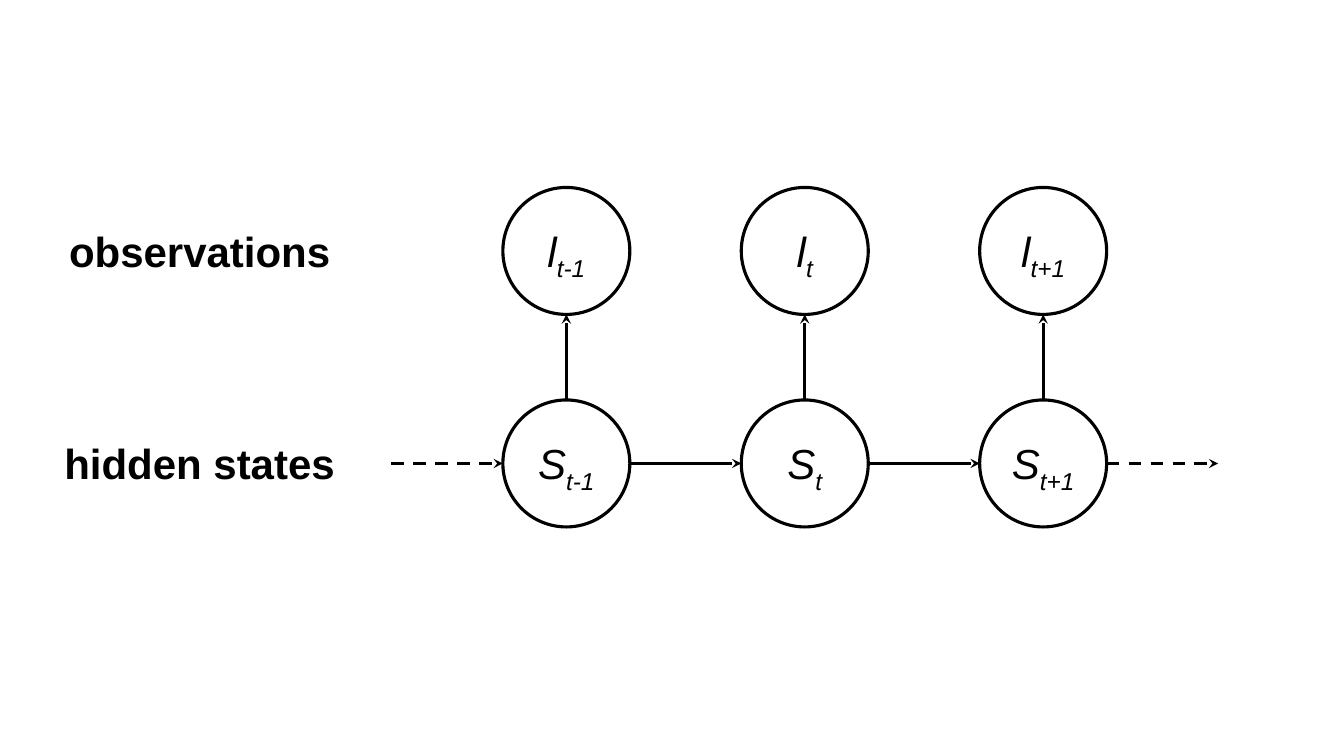
from lxml import etree
from pptx import Presentation
from pptx import util as u
from pptx.dml.color import RGBColor
from pptx.enum import dml, shapes, text
from pptx.oxml.ns import qn

BLACK = RGBColor(0, 0, 0)
SIZE = 90.7
LEFT, STEP = 359.2, 170.3
ROWS = {"l": 133.9, "S": 285.7}
TIMES = ["t-1", "t", "t+1"]
DROP, HIGH = 23.5, 44
MID = SIZE / 2


class Graph:
    """Draws the nodes, arrows and labels of a state model on one slide."""

    def __init__(self, slide):
        self.slide = slide
        self.font = "Arial"
        self.size = u.Pt(30)
        self.width = u.Pt(2.25)

    def stroke(self, shape):
        shape.line.color.rgb = BLACK
        shape.line.width = self.width

    def label(self, home, words, left, top, wide, sub="", bold=None, slant=None):
        box = home.add_textbox(u.Pt(left), u.Pt(top), u.Pt(wide), u.Pt(HIGH))
        frame = box.text_frame
        frame.word_wrap = True
        frame.auto_size = text.MSO_AUTO_SIZE.SHAPE_TO_FIT_TEXT
        frame.text = words
        para = frame.paragraphs[0]
        para.alignment = text.PP_ALIGN.CENTER
        if sub:
            run = para.add_run()
            run.text = sub
            run._r.get_or_add_rPr().set("baseline", "-25000")
        for run in para.runs:
            font = run.font
            font.name, font.size = self.font, self.size
            font.bold, font.italic = bold, slant
            font.color.rgb = BLACK

    def node(self, name, time, left, top):
        group = self.slide.shapes.add_group_shape().shapes
        ring = group.add_shape(shapes.MSO_SHAPE.OVAL, u.Pt(left), u.Pt(top),
                               u.Pt(SIZE), u.Pt(SIZE))
        ring.shadow.inherit = False
        ring.fill.background()
        self.stroke(ring)
        self.label(group, name, left, top + DROP, SIZE, sub=time, slant=True)

    def arrow(self, start, end, dash=False):
        line = self.slide.shapes.add_connector(
            shapes.MSO_CONNECTOR.STRAIGHT, *map(u.Pt, (*start, *end)))
        self.stroke(line)
        if dash:
            line.line.dash_style = dml.MSO_LINE.DASH
        props = line._element.spPr
        etree.SubElement(props.find(qn("a:ln")), qn("a:tailEnd"), type="stealth")
        etree.SubElement(props, qn("a:effectLst"))


def main():
    deck = Presentation()
    deck.slide_width, deck.slide_height = u.Pt(960), u.Pt(540)
    slide = deck.slides.add_slide(deck.slide_layouts[6])
    graph = Graph(slide)

    for name, top in ROWS.items():
        for col, time in enumerate(TIMES):
            graph.node(name, time, LEFT + col * STEP, top)

    for col in range(len(TIMES)):
        mid = LEFT + col * STEP + MID
        graph.arrow((mid, ROWS["S"]), (mid, ROWS["l"] + SIZE))

    level = ROWS["S"] + MID
    for col in range(len(TIMES) + 1):
        end = LEFT + col * STEP
        graph.arrow((end - STEP + SIZE, level), (end, level),
                    dash=col in (0, len(TIMES)))

    for words, top in zip(["observations", "hidden states"], ROWS.values()):
        graph.label(slide.shapes, words, 30.2, top + DROP, 225, bold=True)

    deck.save("out.pptx")


if __name__ == "__main__":
    main()
